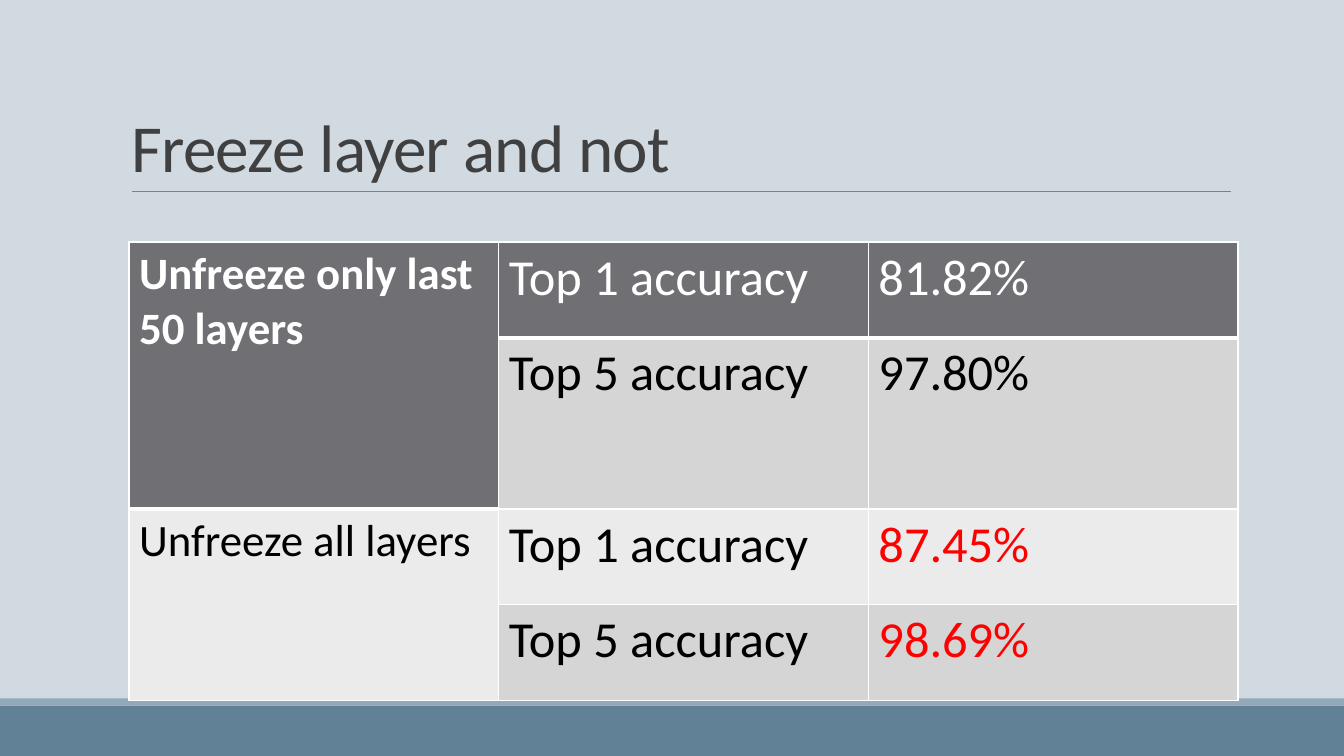
from lxml import etree
from pptx import Presentation
from pptx import util as u
from pptx.dml.color import RGBColor
from pptx.enum import shapes, text
from pptx.oxml import ns

SKY = RGBColor(0xD1, 0xD9, 0xE1)
STEEL = RGBColor(0x61, 0x81, 0x97)
MIST = RGBColor(0x92, 0xA9, 0xB9)
RULE = RGBColor(0x80, 0x80, 0x80)
INK = RGBColor(0x40, 0x40, 0x40)
DARK = RGBColor(0x6F, 0x6F, 0x74)
MID = RGBColor(0xD5, 0xD5, 0xD6)
PALE = RGBColor(0xEB, 0xEB, 0xEB)
WHITE = RGBColor(0xFF, 0xFF, 0xFF)
BLACK = RGBColor(0, 0, 0)
RED = RGBColor(0xFF, 0, 0)
FONT = "Calibri"

ROWS = [
    ("Unfreeze only last 50 layers", "Top 1 accuracy", "81.82%"),
    ("", "Top 5 accuracy", "97.80%"),
    ("Unfreeze all layers", "Top 1 accuracy", "87.45%"),
    ("", "Top 5 accuracy", "98.69%"),
]
FILLS = [
    (DARK, DARK, DARK),
    (DARK, MID, MID),
    (PALE, PALE, PALE),
    (PALE, MID, MID),
]
TALLS = (0.95, 1.7, 0.95, 0.95)


def style(para, size, color, bold=False):
    font = para.font
    font.name, font.size, font.bold = FONT, u.Pt(size), bold
    font.color.rgb = color


def add_band(slide, left, top, width, height, color):
    band = slide.shapes.add_shape(
        shapes.MSO_SHAPE.RECTANGLE, *map(u.Inches, (left, top, width, height)))
    band.shadow.inherit = False
    band.fill.solid()
    band.fill.fore_color.rgb = color
    band.line.fill.background()


def add_foot(slide, left, top, width, height):
    strip = 0.07
    add_band(slide, left, top + strip, width, height - strip, STEEL)
    add_band(slide, left, top, width, strip, MIST)


def add_head(slide, left, top, width, height):
    title = slide.shapes.title
    title.left, title.top, title.width, title.height = map(
        u.Inches, (left, top, width, height))
    frame = title.text_frame
    frame.text = "Freeze layer and not"
    frame.auto_size = text.MSO_AUTO_SIZE.NONE
    frame.vertical_anchor = text.MSO_ANCHOR.BOTTOM
    para = frame.paragraphs[0]
    para.alignment = text.PP_ALIGN.LEFT
    para.line_spacing = 0.85
    style(para, 48, INK)
    para.runs[0].font._element.set("spc", "-50")

    base = u.Inches(top + height)
    rule = slide.shapes.add_connector(
        shapes.MSO_CONNECTOR.STRAIGHT, u.Inches(left + 0.11), base,
        u.Inches(left + width + 0.01), base)
    rule.line.color.rgb = RULE
    rule.line.width = u.Pt(0.5)
    etree.SubElement(rule._element.spPr, ns.qn("a:effectLst"))


def add_edges(cell, top, base):
    props = cell._tc.get_or_add_tcPr()
    for side, width in (("L", 1), ("R", 1), ("T", top), ("B", base)):
        edge = etree.SubElement(props, ns.qn("a:ln" + side), w=str(u.Pt(width)))
        fill = etree.SubElement(edge, ns.qn("a:solidFill"))
        etree.SubElement(fill, ns.qn("a:srgbClr"), val=str(WHITE))


def add_cell(cell, row, col):
    fill = FILLS[row][col]
    above = FILLS[row - 1][col] if row else None
    below = FILLS[row + 1][col] if row + 1 < len(ROWS) else None
    add_edges(cell, 3 if above == DARK != fill else 1,
              3 if fill == DARK != below else 1)
    cell.fill.solid()
    cell.fill.fore_color.rgb = fill
    if not ROWS[row][col]:
        return
    cell.text = ROWS[row][col]
    color = WHITE if fill == DARK else RED if col == 2 and row > 1 else BLACK
    style(cell.text_frame.paragraphs[0], 36 if col else 32, color,
          row == col == 0)


def add_grid(slide, left, top, width, height):
    count = len(ROWS[0])
    grid = slide.shapes.add_table(
        len(ROWS), count, *map(u.Inches, (left, top, width, height))).table
    grid.first_row = grid.horz_banding = False
    for col in grid.columns:
        col.width = u.Inches(width / count)
    for row, tall in enumerate(TALLS):
        grid.rows[row].height = u.Inches(height * tall / sum(TALLS))
        for col in range(count):
            add_cell(grid.cell(row, col), row, col)
    for row in (0, 2):
        grid.cell(row, 0).merge(grid.cell(row + 1, 0))


def main():
    deck = Presentation()
    deck.slide_width, deck.slide_height = u.Inches(13.33), u.Inches(7.5)
    slide = deck.slides.add_slide(deck.slide_layouts[5])
    slide.background.fill.solid()
    slide.background.fill.fore_color.rgb = SKY
    add_foot(slide, 0, 6.93, 13.33, 0.57)
    add_head(slide, 1.2, 0.31, 11, 1.59)
    add_grid(slide, 1.28, 2.4, 11, sum(TALLS))
    deck.save("out.pptx")


if __name__ == "__main__":
    main()
